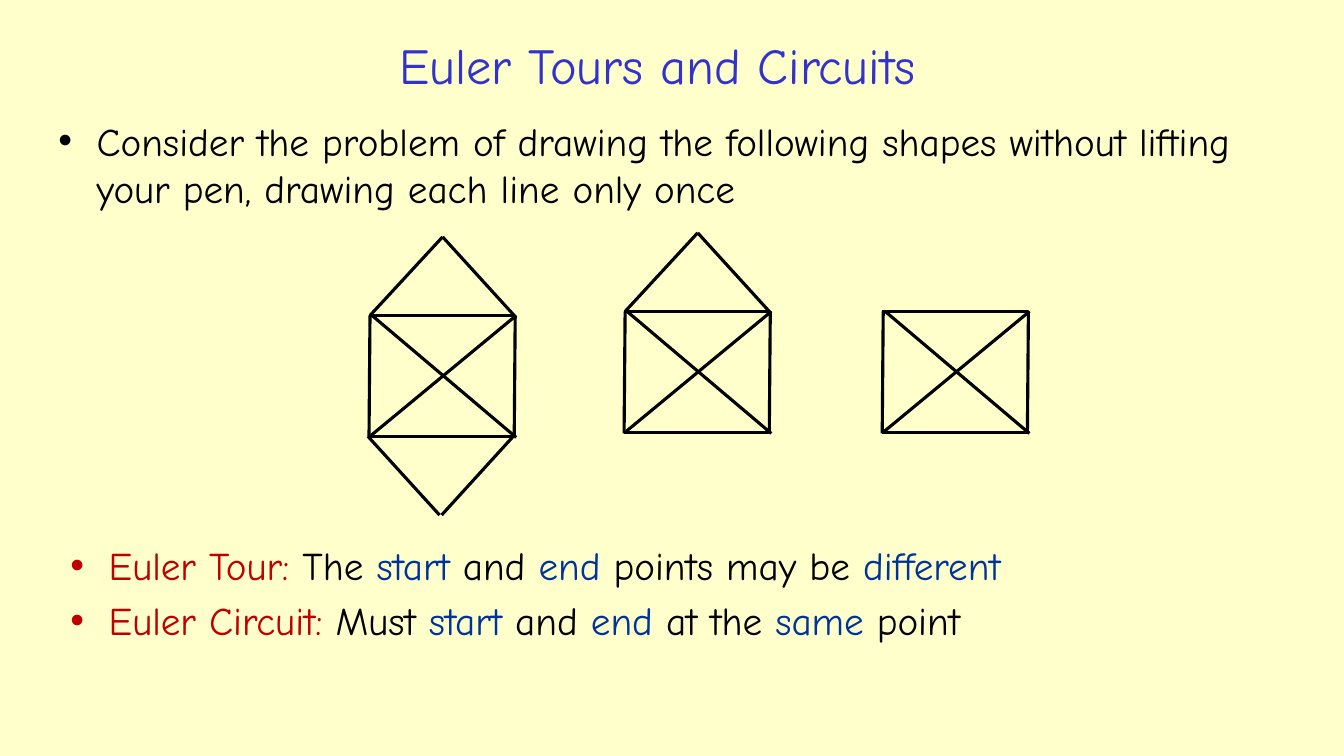
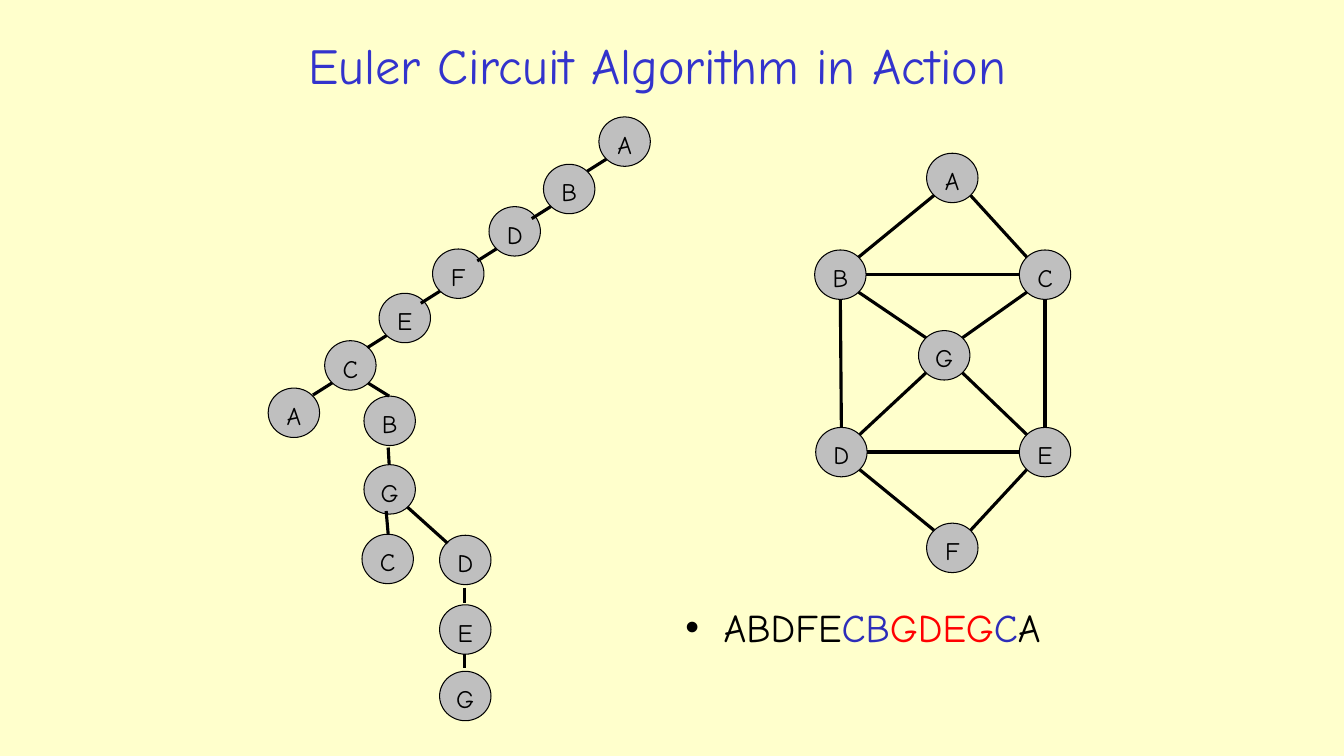
from lxml import etree
from pptx import Presentation
from pptx import util as u
from pptx.dml.color import RGBColor
from pptx.enum import shapes, text
from pptx.oxml import ns

PX = 9144  # EMU in one px, 100 px to the inch
FONT = "Comic Neue"
PAPER, TITLE, INK = "FFFFCC", "3333CC", "000000"
RED, NAVY, NODE_GREY = "C00000", "003399", "BFBFBF"
LOOP_BLUE, LOOP_RED = "2D2DB9", "FF0000"
INDENT = 38

# Slide 1: bullets as (text, colour) runs, boxes as left, top, width, height
TOURS_TITLE = "Euler Tours and Circuits"
PROBLEM_BOX = (48, 111, 1241, 99)
PROBLEM = [[("Consider the problem of drawing the following shapes without lifting "
             "your pen, drawing each line only once", INK)]]
DEFINITIONS_BOX = (60, 532, 1194, 136)
DEFINITIONS = [
    [("Euler Tour: ", RED), ("The ", INK), ("start", NAVY), (" and ", INK),
     ("end", NAVY), (" points may be ", INK), ("different", NAVY)],
    [("Euler Circuit: ", RED), ("Must ", INK), ("start", NAVY), (" and ", INK),
     ("end", NAVY), (" at the ", INK), ("same", NAVY), (" point", INK)],
]

# Strokes as x1, y1, x2, y2 from the top left corner of the crossed square
SQUARE = [(1, 0, 0, 121), (145, 0, 144, 121), (0, 120, 144, 120),
          (0, 0, 145, 0), (146, 121, 3, 0), (2, 119, 146, 0)]
ROOF = [(1, 0, 73, -78), (144, 0, 73, -78)]
CELLAR = [(72, 198, 143, 120), (70, 198, -1, 120)]
FIGURES = [((366, 313), SQUARE + ROOF + CELLAR),
           ((619, 309), SQUARE + ROOF),
           ((875, 309), SQUARE)]

# Slide 2: nodes as letter, left, top
ACTION_TITLE = "Euler Circuit Algorithm in Action"
CIRCUIT_BOX = (670, 594, 436, 55)
CIRCUIT = [[("ABDFE", INK), ("CB", LOOP_BLUE), ("GDEG", LOOP_RED),
            ("C", LOOP_BLUE), ("A", INK)]]
NODE_WIDTH, NODE_HEIGHT = 51, 49
SPINE = [("A", 594, 116), ("B", 539, 163), ("D", 485, 205), ("F", 429, 247),
         ("E", 376, 291), ("C", 322, 338), ("A", 266, 385)]
SPINE_STEP = (-19, 12)
BRANCH = [("B", 361, 393), ("G", 361, 461), ("C", 359, 530),
          ("D", 436, 531), ("E", 436, 600), ("G", 436, 666)]
BRANCH_LINKS = [(365, 380, 386, 393), (385, 444, 386, 461), (383, 507, 385, 530),
                (404, 503, 444, 539), (461, 583, 461, 598), (461, 649, 461, 663)]
GRAPH = [("A", 919, 152), ("B", 808, 248), ("C", 1011, 248), ("D", 809, 424),
         ("E", 1011, 424), ("G", 911, 328), ("F", 919, 519)]
# Each edge leaves the first node and enters the second at a compass point
GRAPH_EDGES = [("A", "SE", "C", "NW"), ("A", "SW", "B", "NE"), ("B", "E", "C", "W"),
               ("B", "S", "D", "N"), ("C", "S", "E", "N"), ("B", "SE", "G", "NW"),
               ("C", "SW", "G", "NE"), ("G", "SW", "D", "NE"), ("G", "SE", "E", "NW"),
               ("D", "E", "E", "W"), ("D", "SE", "F", "SW"), ("E", "SW", "F", "NE")]
GRAPH_EDGES[10] = ("D", "SE", "F", "NW")
COMPASS = {"N": (0, -1), "S": (0, 1), "E": (1, 0), "W": (-1, 0),
           "NE": (0.71, -0.71), "NW": (-0.71, -0.71),
           "SE": (0.71, 0.71), "SW": (-0.71, 0.71)}


def color(hex_code):
    return RGBColor.from_string(hex_code)


def emu(*lengths):
    return [u.Emu(round(length * PX)) for length in lengths]


def set_font(font, size, hex_code=None):
    font.name, font.size = FONT, u.Pt(size)
    if hex_code:
        font.color.rgb = color(hex_code)


def add_text_box(slide, box):
    frame = slide.shapes.add_textbox(*emu(*box)).text_frame
    frame.word_wrap = True
    return frame


def add_slide(presentation, title):
    slide = presentation.slides.add_slide(presentation.slide_layouts[6])
    frame = add_text_box(slide, (204, 26, 896, 76))
    frame.vertical_anchor = text.MSO_ANCHOR.MIDDLE
    paragraph = frame.paragraphs[0]
    paragraph.text = title
    paragraph.alignment = text.PP_ALIGN.CENTER
    set_font(paragraph.font, 36, TITLE)
    return slide


def add_bullets(slide, box, bullets):
    frame = add_text_box(slide, box)
    for index, runs in enumerate(bullets):
        paragraph = frame.add_paragraph() if index else frame.paragraphs[0]
        properties = paragraph._p.get_or_add_pPr()
        indent, = emu(INDENT)
        properties.set("marL", str(indent))
        properties.set("indent", str(-indent))
        bullet_color = etree.SubElement(properties, ns.qn("a:buClr"))
        etree.SubElement(bullet_color, ns.qn("a:srgbClr"), val=runs[0][1])
        etree.SubElement(properties, ns.qn("a:buFont"), typeface="Arial")
        etree.SubElement(properties, ns.qn("a:buChar"), char="•")
        if index:
            paragraph.space_before = u.Pt(5.6)
        set_font(paragraph.font, 28)
        for words, hex_code in runs:
            run = paragraph.add_run()
            run.text = words
            run.font.color.rgb = color(hex_code)


def add_line(slide, x1, y1, x2, y2):
    line = slide.shapes.add_connector(shapes.MSO_CONNECTOR.STRAIGHT, *emu(x1, y1, x2, y2))
    line.line.color.rgb = color(INK)
    line.line.width = u.Pt(2.25)
    etree.SubElement(line._element.spPr, ns.qn("a:effectLst"))


def add_node(slide, letter, left, top):
    node = slide.shapes.add_shape(shapes.MSO_SHAPE.OVAL,
                                  *emu(left, top, NODE_WIDTH, NODE_HEIGHT))
    node.shadow.inherit = False
    node.fill.solid()
    node.fill.fore_color.rgb = color(NODE_GREY)
    node.line.color.rgb = color(INK)
    node.line.width = u.Pt(0.75)
    frame = node.text_frame
    frame.word_wrap = False
    frame.vertical_anchor = text.MSO_ANCHOR.TOP
    paragraph = frame.paragraphs[0]
    paragraph.text = letter
    paragraph.alignment = text.PP_ALIGN.CENTER
    set_font(paragraph.font, 18, INK)


def rim_point(left, top, direction):
    dx, dy = COMPASS[direction]
    return left + NODE_WIDTH / 2 * (1 + dx), top + NODE_HEIGHT / 2 * (1 + dy)


def build_tours(presentation):
    slide = add_slide(presentation, TOURS_TITLE)
    add_bullets(slide, PROBLEM_BOX, PROBLEM)
    for (left, top), strokes in FIGURES:
        for x1, y1, x2, y2 in strokes:
            add_line(slide, left + x1, top + y1, left + x2, top + y2)
    add_bullets(slide, DEFINITIONS_BOX, DEFINITIONS)


def build_action(presentation):
    slide = add_slide(presentation, ACTION_TITLE)
    add_bullets(slide, CIRCUIT_BOX, CIRCUIT)
    for node in SPINE + BRANCH + GRAPH:
        add_node(slide, *node)
    # Tree of visits
    for _, left, top in SPINE[:-1]:
        x, y = rim_point(left, top, "SW")
        add_line(slide, x, y, x + SPINE_STEP[0], y + SPINE_STEP[1])
    for link in BRANCH_LINKS:
        add_line(slide, *link)
    # Graph
    places = {letter: (left, top) for letter, left, top in GRAPH}
    for start, leaving, end, entering in GRAPH_EDGES:
        add_line(slide, *rim_point(*places[start], leaving),
                 *rim_point(*places[end], entering))


def main():
    presentation = Presentation()
    presentation.slide_width, presentation.slide_height = emu(1333, 750)
    background = presentation.slide_master.background.fill
    background.solid()
    background.fore_color.rgb = color(PAPER)
    build_tours(presentation)
    build_action(presentation)
    presentation.save("out.pptx")


if __name__ == "__main__":
    main()
